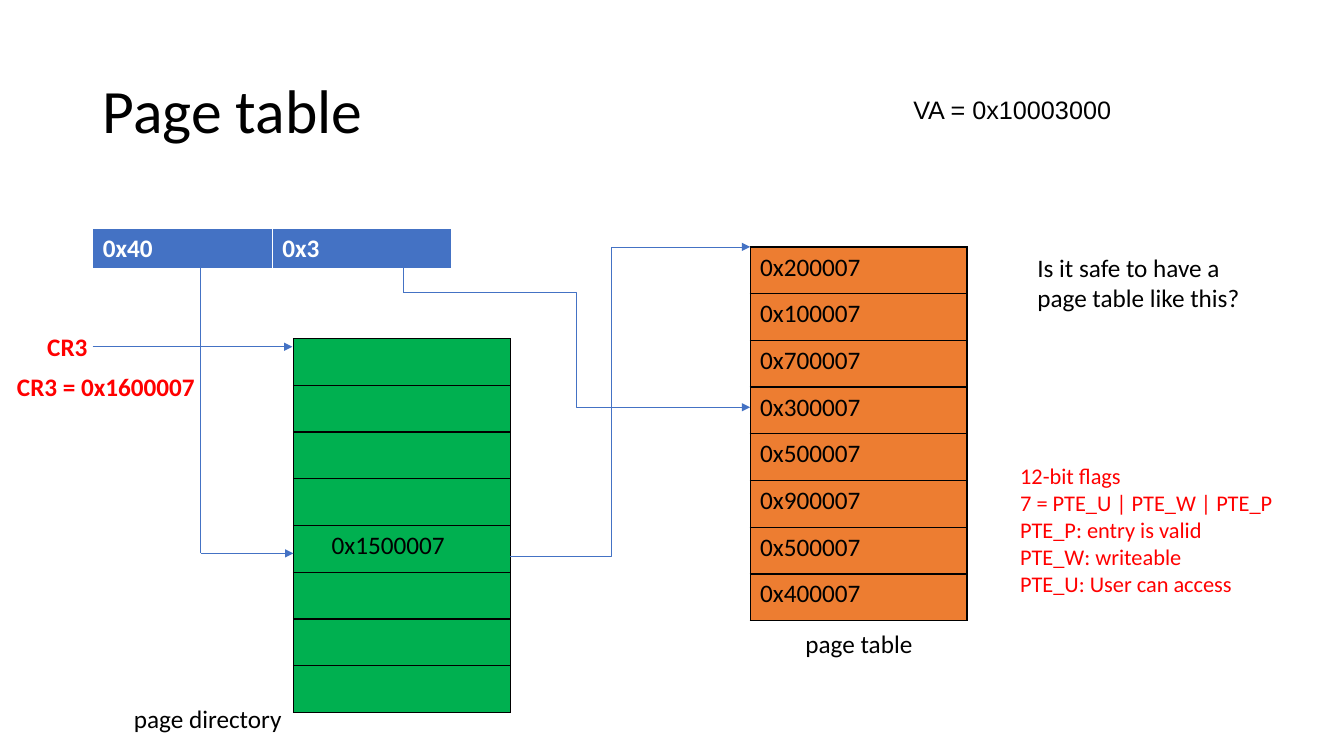
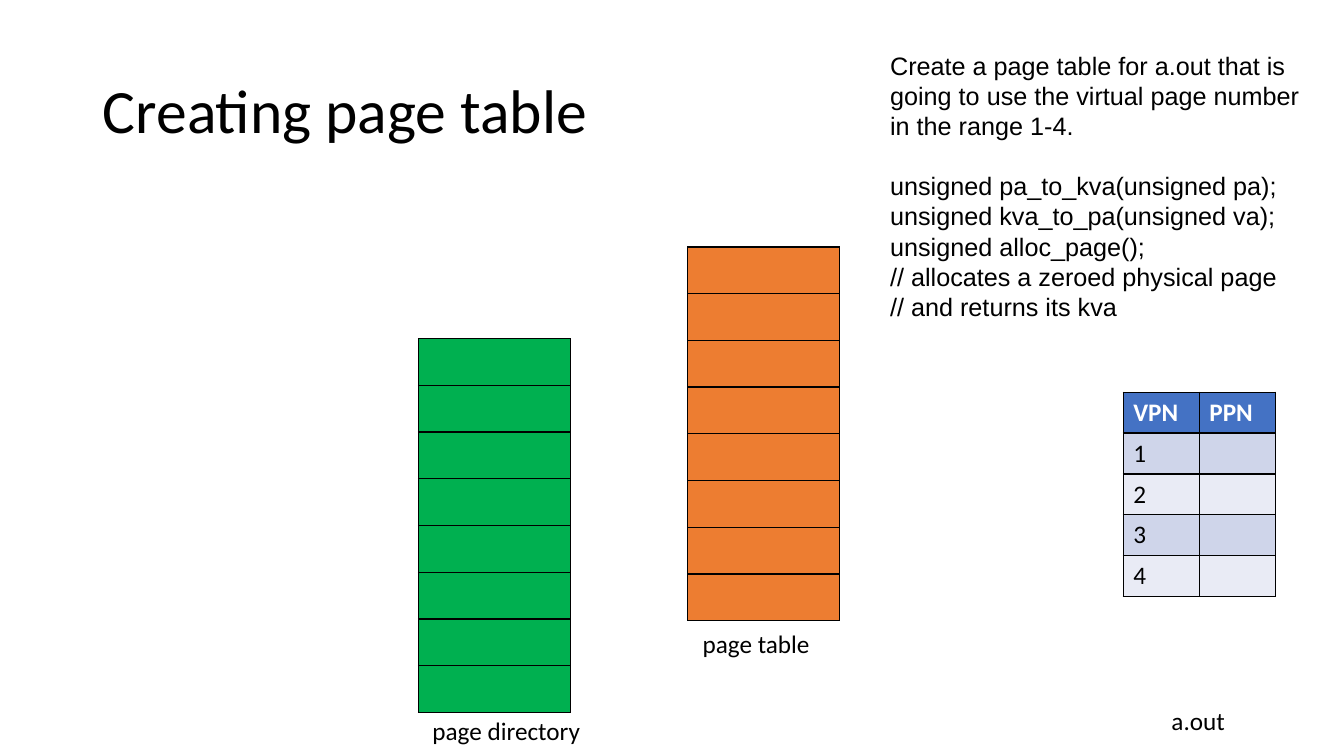
from lxml import etree
from pptx import Presentation
from pptx.dml.color import RGBColor
from pptx.enum import shapes, text
from pptx.oxml import ns
from pptx.util import Inches, Pt

BLACK = RGBColor(0x00, 0x00, 0x00)
WHITE = RGBColor(0xFF, 0xFF, 0xFF)
RED = RGBColor(0xFF, 0x00, 0x00)
BLUE = RGBColor(0x44, 0x72, 0xC4)
GREEN = RGBColor(0x00, 0xB0, 0x50)
ORANGE = RGBColor(0xED, 0x7D, 0x31)
BANDS = [RGBColor(0xCF, 0xD5, 0xEA), RGBColor(0xE9, 0xEB, 0xF5)]

ENTRIES = 8
COLUMN_HEIGHT = 3.71
DIRECTORY_TOP, TABLE_TOP = 3.36, 2.45

VA_PARTS = ["0x40", "0x3"]
DIRECTORY = [""] * 4 + ["0x1500007"] + [""] * 3
PAGE_TABLE = ["0x200007", "0x100007", "0x700007", "0x300007",
              "0x500007", "0x900007", "0x500007", "0x400007"]
FLAGS = ["12-bit flags", "7 = PTE_U | PTE_W | PTE_P", "PTE_P: entry is valid",
         "PTE_W: writeable", "PTE_U: User can access"]
MAPPING = [["VPN", "PPN"], ["1", ""], ["2", ""], ["3", ""], ["4", ""]]
TASK = ["Create a page table for a.out that is going to use the virtual "
        "page number in the range 1-4.",
        "unsigned pa_to_kva(unsigned pa);",
        "unsigned kva_to_pa(unsigned va);",
        "unsigned alloc_page();",
        "// allocates a zeroed physical page",
        "// and returns its kva"]

# box, lines, format
PAGE_TABLE_NOTES = [
    ((1.23, 6.93, 2.32, 0.4), ["page directory"], {}),
    ((7.89, 6.18, 2.32, 0.4), ["page table"], {}),
    ((0.37, 3.24, 1.17, 0.4), ["CR3"], dict(color=RED, bold=True)),
    ((0.07, 3.63, 2.32, 0.4), ["CR3 = 0x1600007"], dict(color=RED, bold=True)),
    ((8.96, 0.89, 3.12, 0.4), ["VA = 0x10003000"], dict(font="Arial")),
    ((10.02, 4.54, 3.04, 1.45), FLAGS, dict(size=16, color=RED)),
    ((10.19, 2.45, 2.33, 0.71), ["Is it safe to have a page table like this?"], {}),
]
CREATING_NOTES = [
    ((11.52, 6.95, 0.89, 0.4), ["a.out"], {}),
    ((4.19, 7.05, 2.32, 0.4), ["page directory"], {}),
    ((6.87, 6.18, 2.32, 0.4), ["page table"], {}),
    ((8.73, 0.45, 4.43, 2.83), TASK, dict(font="Arial", gap_after_first=21)),
]
# start, end, has arrowhead, bend as a share of the width (None: straight)
ARROWS = [
    ((1.99, 2.62), (1.99, 5.49), False, None),
    ((1.99, 5.49), (2.91, 5.49), True, None),
    ((0.92, 3.44), (2.9, 3.44), True, None),
    ((5.06, 5.52), (7.44, 2.45), True, 0.42),
    ((4, 2.65), (4, 2.9), False, None),
    ((4, 2.9), (7.44, 4.04), True, 0.5),
]


def write(tf, lines, size=18, font="Calibri", color=BLACK, bold=False,
          gap_after_first=0):
    for i, line in enumerate(lines):
        p = tf.paragraphs[0] if i == 0 else tf.add_paragraph()
        p.alignment = text.PP_ALIGN.LEFT
        if i == 0 and gap_after_first:
            p.space_after = Pt(gap_after_first)
        r = p.add_run()
        r.text = line
        r.font.size, r.font.name, r.font.bold = Pt(size), font, bold
        r.font.color.rgb = color


def add_note(slide, box, lines, **fmt):
    tf = slide.shapes.add_textbox(*map(Inches, box)).text_frame
    tf.word_wrap = True
    write(tf, lines, **fmt)


def add_titled_slide(prs, title):
    slide = prs.slides.add_slide(prs.slide_layouts[5])
    sp = slide.shapes.title
    sp.left, sp.top, sp.width, sp.height = map(Inches, (0.92, 0.4, 11.5, 1.45))
    tf = sp.text_frame
    tf.vertical_anchor = text.MSO_ANCHOR.MIDDLE
    write(tf, [title], size=44)
    tf.paragraphs[0].line_spacing = 0.9
    return slide


def set_borders(cell, color, bottom):
    tc_pr = cell._tc.get_or_add_tcPr()
    for i, (side, width) in enumerate(
            [("lnL", 1), ("lnR", 1), ("lnT", 1), ("lnB", bottom)]):
        ln = etree.Element(ns.qn(f"a:{side}"), w=str(Pt(width)))
        fill = etree.SubElement(ln, ns.qn("a:solidFill"))
        etree.SubElement(fill, ns.qn("a:srgbClr"), val=str(color))
        tc_pr.insert(i, ln)


def add_grid(slide, box, rows, fills, border=BLACK, bottom=1, header=False):
    """Table of equal cells; fills repeat down the rows below any header."""
    table = slide.shapes.add_table(
        len(rows), len(rows[0]), *map(Inches, box)).table
    table.first_row = table.horz_banding = False
    for r, row in enumerate(rows):
        is_header = header and r == 0
        for c, value in enumerate(row):
            cell = table.cell(r, c)
            cell.fill.solid()
            cell.fill.fore_color.rgb = (
                BLUE if is_header else fills[(r - header) % len(fills)])
            set_borders(cell, border, bottom)
            if value:
                write(cell.text_frame, [value], bold=is_header,
                      color=WHITE if is_header else BLACK)
    return table


def add_entries(slide, left, top, width, entries, color):
    return add_grid(slide, (left, top, width, COLUMN_HEIGHT),
                    [[entry] for entry in entries], [color])


def add_arrow(slide, start, end, head, bend):
    kind = shapes.MSO_CONNECTOR.STRAIGHT if bend is None else shapes.MSO_CONNECTOR.ELBOW
    line = slide.shapes.add_connector(kind, *map(Inches, start + end))
    line.line.color.rgb = BLUE
    line.line.width = Pt(0.5)
    sp_pr = line._element.spPr
    if bend is not None:
        guides = sp_pr.find(ns.qn("a:prstGeom")).get_or_add_avLst()
        etree.SubElement(guides, ns.qn("a:gd"), name="adj1",
                         fmla=f"val {round(bend * 100000)}")
    if head:
        etree.SubElement(line.line._get_or_add_ln(), ns.qn("a:tailEnd"),
                         type="triangle")
    etree.SubElement(sp_pr, ns.qn("a:effectLst"))


def build_page_table(prs):
    slide = add_titled_slide(prs, "Page table")
    add_grid(slide, (0.92, 2.27, 3.56, 0.41), [VA_PARTS], [BLUE],
             border=WHITE, bottom=3, header=True)
    directory = add_entries(slide, 2.91, DIRECTORY_TOP, 2.15, DIRECTORY, GREEN)
    directory.cell(4, 0).margin_left = Inches(0.38)
    add_entries(slide, 7.44, TABLE_TOP, 2.15, PAGE_TABLE, ORANGE)
    for arrow in ARROWS:
        add_arrow(slide, *arrow)
    for box, lines, fmt in PAGE_TABLE_NOTES:
        add_note(slide, box, lines, **fmt)


def build_creating_page_table(prs):
    slide = add_titled_slide(prs, "Creating page table")
    add_grid(slide, (11.14, 3.89, 1.51, 2.03), MAPPING, BANDS, header=True)
    empty = [""] * ENTRIES
    add_entries(slide, 4.15, DIRECTORY_TOP, 1.51, empty, GREEN)
    add_entries(slide, 6.82, TABLE_TOP, 1.51, empty, ORANGE)
    for box, lines, fmt in CREATING_NOTES:
        add_note(slide, box, lines, **fmt)


def main():
    prs = Presentation()
    prs.slide_width, prs.slide_height = Inches(13.33), Inches(7.5)
    build_page_table(prs)
    build_creating_page_table(prs)
    prs.save("out.pptx")


if __name__ == "__main__":
    main()
